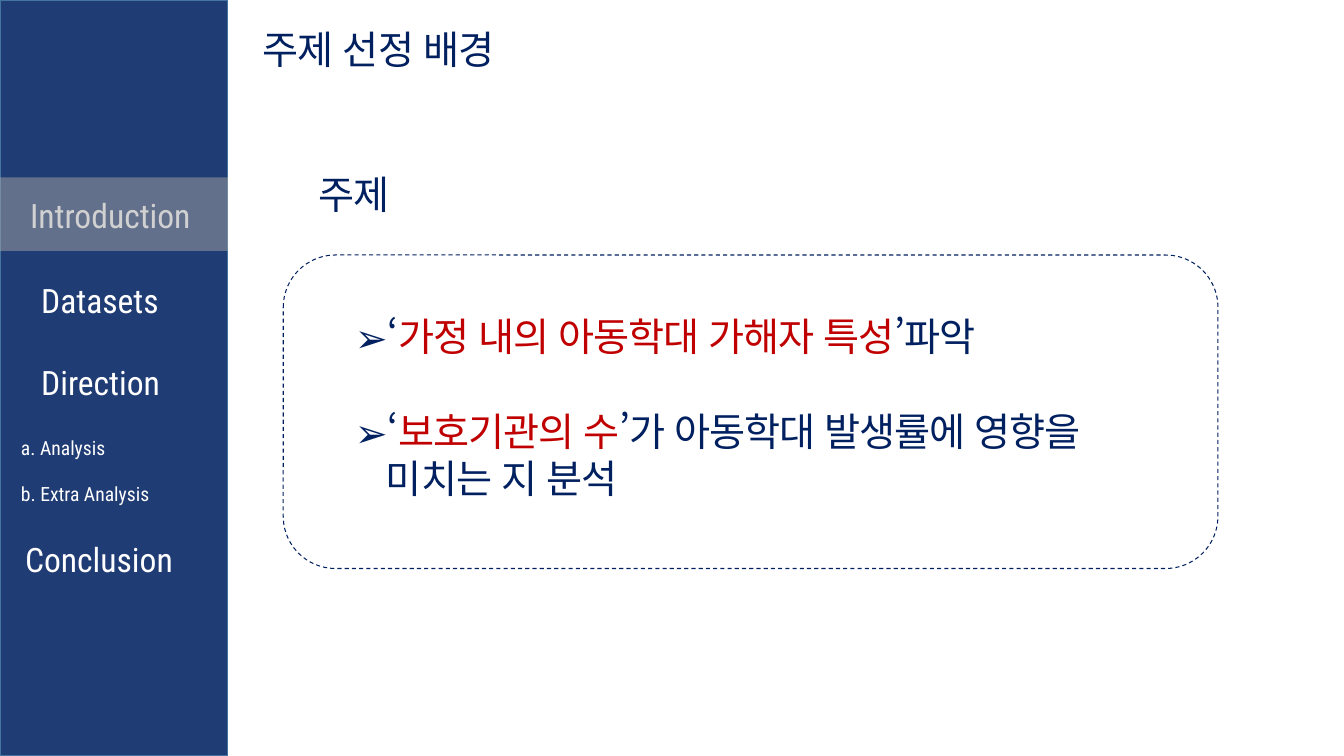
from lxml import etree
from pptx import Presentation
from pptx.dml.color import RGBColor
from pptx.enum.dml import MSO_LINE
from pptx.enum.lang import MSO_LANGUAGE_ID
from pptx.enum.shapes import MSO_SHAPE
from pptx.oxml.ns import qn
from pptx.util import Inches, Pt

RECTANGLE = MSO_SHAPE.RECTANGLE
ROUNDED = MSO_SHAPE.ROUNDED_RECTANGLE
DASH = MSO_LINE.DASH
KOREAN = MSO_LANGUAGE_ID.KOREAN

NAVY = RGBColor(0x00, 0x20, 0x60)
SIDEBAR_BLUE = RGBColor(0x20, 0x3C, 0x74)
EDGE_BLUE = RGBColor(0x43, 0x73, 0x9E)
GRAY = RGBColor(0xA5, 0xA5, 0xA5)
RED = RGBColor(0xC0, 0x00, 0x00)
WHITE = RGBColor(0xFF, 0xFF, 0xFF)


class SlideBuilder:
    korean_font = "Noto Sans CJK KR"
    menu_font = "Roboto Condensed"

    def __init__(self, page):
        self.page = page

    def panel(self, kind, left, top, width, height, fill=None, alpha=None,
              line=None, weight=1, dash=None):
        shape = self.page.shapes.add_shape(
            kind, Inches(left), Inches(top), Inches(width), Inches(height))
        shape.shadow.inherit = False
        if fill is None:
            shape.fill.background()
        else:
            shape.fill.solid()
            shape.fill.fore_color.rgb = fill
        if alpha is not None:
            color = next(shape.fill._xPr.iter(qn("a:srgbClr")))
            etree.SubElement(color, qn("a:alpha"), val=str(alpha * 1000))
        if line is None:
            shape.line.fill.background()
        else:
            shape.line.color.rgb = line
            shape.line.width = Pt(weight)
            if dash is not None:
                shape.line.dash_style = dash

    def frame(self, left, top, width, height, wrap=True):
        box = self.page.shapes.add_textbox(
            Inches(left), Inches(top), Inches(width), Inches(height))
        box.text_frame.word_wrap = wrap
        return box.text_frame

    def style_korean(self, para):
        font = para.font
        font.name, font.size = self.korean_font, Pt(28)
        font.color.rgb = NAVY
        # East Asian typeface and tighter letter spacing
        properties = para._p.pPr.find(qn("a:defRPr"))
        properties.set("spc", "-70")
        etree.SubElement(properties, qn("a:ea"), typeface=self.korean_font)

    def korean_span(self, para, text):
        span = para.add_run()
        span.text = text
        span.font.language_id = KOREAN
        return span

    def heading(self, text, left, top, width):
        para = self.frame(left, top, width, 0.57, wrap=False).paragraphs[0]
        self.korean_span(para, text)
        self.style_korean(para)

    def menu_item(self, text, left, top, width, height, size):
        para = self.frame(left, top, width, height).paragraphs[0]
        para.add_run().text = text
        para.font.name, para.font.size = self.menu_font, Pt(size)
        para.font.color.rgb = WHITE

    def bullets(self, items, left, top, width, height):
        frame = self.frame(left, top, width, height)
        for index, (before, keyword, after) in enumerate(items):
            para = frame.add_paragraph() if index else frame.paragraphs[0]
            if index:
                para.space_before = Pt(34)
            properties = para._p.get_or_add_pPr()
            properties.set("marL", str(Inches(0.31)))
            properties.set("indent", str(-Inches(0.31)))
            etree.SubElement(properties, qn("a:buFont"), typeface=self.korean_font)
            etree.SubElement(properties, qn("a:buChar"), char="➢")
            self.style_korean(para)
            for text in (before, keyword, after):
                span = self.korean_span(para, text)
                if text == keyword:
                    span.font.color.rgb = RED


def main():
    deck = Presentation()
    deck.slide_width, deck.slide_height = Inches(13.33), Inches(7.5)
    builder = SlideBuilder(deck.slides.add_slide(deck.slide_layouts[6]))

    # Title and sidebar
    builder.heading("주제 선정 배경", 2.51, 0.2, 2.74)
    builder.panel(RECTANGLE, 0, 0, 2.26, 7.5, SIDEBAR_BLUE, line=EDGE_BLUE)

    # Main menu, with a veil over the current section
    for text, left, top, width in (
        ("Introduction", 0.2, 1.88, 2.26),
        ("Datasets", 0.31, 2.73, 2.35),
        ("Direction", 0.31, 3.54, 2.35),
        ("Conclusion", 0.15, 5.3, 2.35),
    ):
        builder.menu_item(text, left, top, width, 0.5, 24)
    builder.panel(RECTANGLE, 0, 1.76, 2.26, 0.73, GRAY, alpha=50)

    # Topic and its goals
    builder.heading("주제", 3.06, 1.64, 0.97)
    builder.panel(ROUNDED, 2.81, 2.53, 9.27, 3.11, line=NAVY, weight=0.75, dash=DASH)
    builder.bullets((
        ("‘", "가정 내의 아동학대 가해자 특성", "’파악"),
        ("‘", "보호기관의 수", "’가 아동학대 발생률에 영향을 미치는 지 분석"),
    ), 3.42, 3.05, 7.65, 1.99)

    # Submenu
    for text, top in (("a. Analysis", 4.28), ("b. Extra Analysis", 4.73)):
        builder.menu_item(text, 0.11, top, 3.44, 0.34, 14)

    deck.save("out.pptx")


if __name__ == "__main__":
    main()
